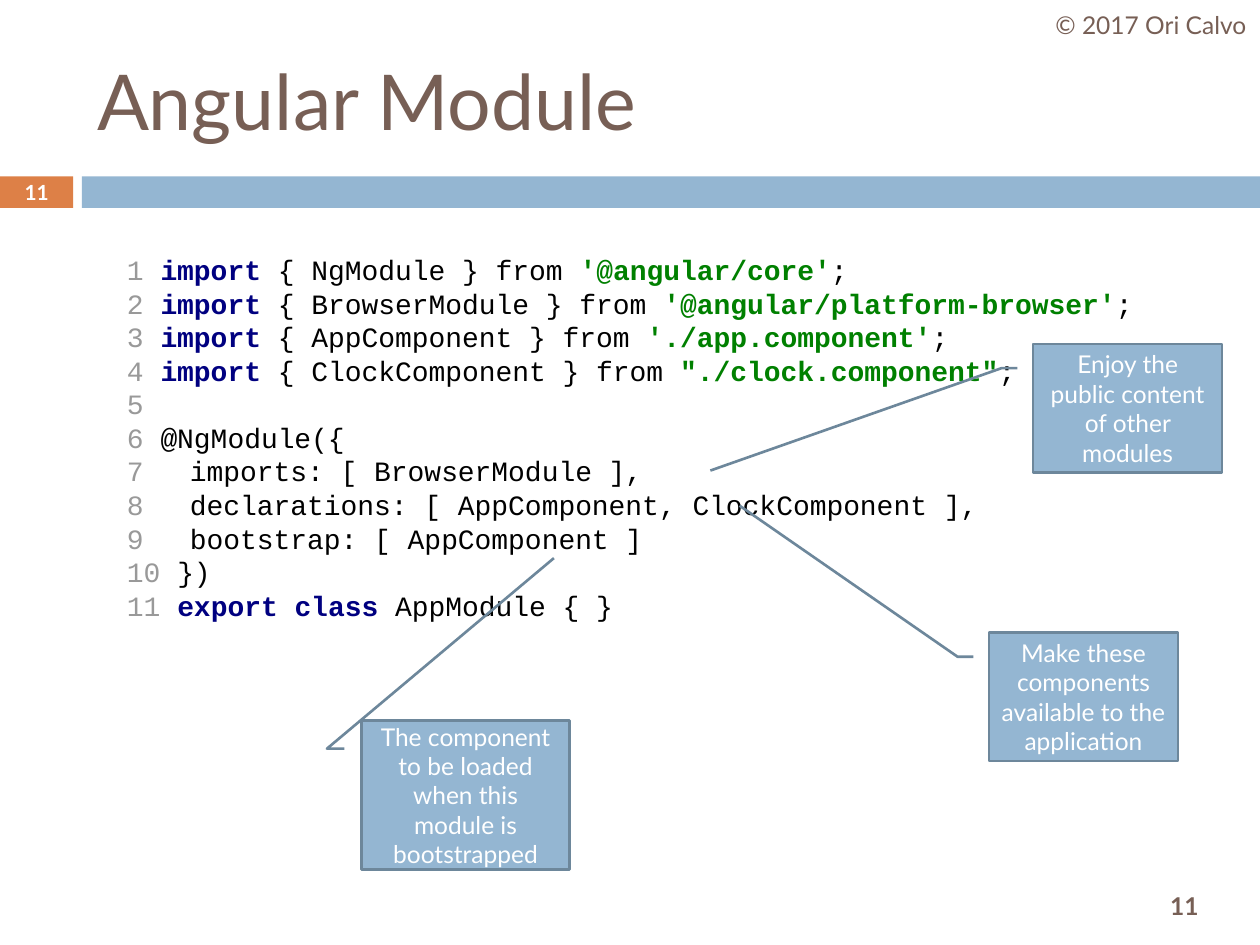
"""Build the Angular Module slide with its annotated code listing."""
from typing import NamedTuple

from pptx import Presentation
from pptx.dml.color import RGBColor
from pptx.enum.shapes import MSO_SHAPE as Preset
from pptx.enum.text import MSO_ANCHOR as Anchor, MSO_AUTO_SIZE as AutoSize, PP_ALIGN as Align
from pptx.util import Inches, Pt

COLORS = {
    "brown": "775F55", "blue": "94B6D2", "outline": "6D879B", "orange": "DD8047",
    "white": "FFFFFF", "number": "999999", "keyword": "000080",
    "string": "008000", "plain": "000000",
}
BOLD_STYLES = ("keyword", "string")
SLIDE_NUMBER = "11"


class Box(NamedTuple):
    left: float
    top: float
    width: float
    height: float

    def lengths(self) -> list:
        return [Inches(value) for value in self]


class Callout(NamedTuple):
    text: str
    box: Box
    tip_y: float
    tip_x: float


class Import(NamedTuple):
    name: str
    source: str


IMPORTS = [
    Import("NgModule", "'@angular/core'"),
    Import("BrowserModule", "'@angular/platform-browser'"),
    Import("AppComponent", "'./app.component'"),
    Import("ClockComponent", '"./clock.component"'),
]
CODE_LINES = [
    [("import", "keyword"), (f" {{ {item.name} }} from ", "plain"),
     (item.source, "string"), ("; ", "plain")]
    for item in IMPORTS
] + [
    [],
    [("@NgModule({ ", "plain")],
    [("\timports: [ BrowserModule ], ", "plain")],
    [("\tdeclarations: [ AppComponent, ClockComponent ], ", "plain")],
    [("\tbootstrap: [ AppComponent ] ", "plain")],
    [("}) ", "plain")],
    [("export class ", "keyword"), ("AppModule { }", "plain")],
]
CALLOUTS = [
    Callout("Enjoy the public content of other modules",
            Box(8.2, 2.73, 1.5, 1.02), 0.985, -1.708),
    Callout("Make these components available to the application",
            Box(7.85, 5.02, 1.5, 1.02), -0.987, -1.32),
    Callout("The component to be loaded when this module is bootstrapped",
            Box(2.87, 5.72, 1.65, 1.18), -1.094, 0.925),
]


def rgb(name: str) -> RGBColor:
    return RGBColor.from_string(COLORS[name])


def add_text(paragraph, text: str, *, size: float = 14, color: str = "brown",
             bold: bool = False, font: str = "Lato", align=Align.CENTER) -> None:
    paragraph.alignment = align
    run = paragraph.add_run()
    run.text = text
    run.font.name = font
    run.font.size = Pt(size)
    run.font.bold = bold
    run.font.color.rgb = rgb(color)


def add_block(slide, box: Box, fill: str, preset=Preset.RECTANGLE):
    shape = slide.shapes.add_shape(preset, *box.lengths())
    shape.shadow.inherit = False
    shape.fill.solid()
    shape.fill.fore_color.rgb = rgb(fill)
    shape.line.fill.background()
    shape.text_frame.vertical_anchor = Anchor.MIDDLE
    return shape


def add_label(slide, box: Box, text: str, **text_format) -> None:
    frame = slide.shapes.add_textbox(*box.lengths()).text_frame
    frame.word_wrap = True
    frame.vertical_anchor = Anchor.MIDDLE
    add_text(frame.paragraphs[0], text, **text_format)


def add_title(slide, text: str) -> None:
    title = slide.shapes.title
    title.left, title.top, title.width, title.height = Box(0.67, 0.25, 8.92, 1.08).lengths()
    title.text_frame.vertical_anchor = Anchor.MIDDLE
    add_text(title.text_frame.paragraphs[0], text, size=44, align=Align.LEFT)


def add_code(slide) -> None:
    frame = add_block(slide, Box(0.91, 1.94, 8.44, 3.06), "white").text_frame
    frame.word_wrap = False
    frame.auto_size = AutoSize.SHAPE_TO_FIT_TEXT
    for number, pieces in enumerate(CODE_LINES, start=1):
        paragraph = frame.paragraphs[0] if number == 1 else frame.add_paragraph()
        for text, style in [(f"{number} ", "number"), *pieces]:
            add_text(paragraph, text, size=16, color=style, bold=style in BOLD_STYLES,
                     font="Courier New", align=Align.LEFT)


def add_callout(slide, callout: Callout) -> None:
    shape = add_block(slide, callout.box, "blue", Preset.LINE_CALLOUT_2)
    shape.line.color.rgb = rgb("outline")
    shape.line.width = Pt(1.5)
    points = (0.188, -0.083, 0.188, -0.167, callout.tip_y, callout.tip_x)
    for index, value in enumerate(points):
        shape.adjustments[index] = value
    shape.text_frame.word_wrap = True
    add_text(shape.text_frame.paragraphs[0], callout.text, color="white")


def main() -> None:
    presentation = Presentation()
    presentation.slide_width, presentation.slide_height = Inches(10), Inches(7.5)
    slide = presentation.slides.add_slide(presentation.slide_layouts[5])
    add_block(slide, Box(0, 1.4, 0.58, 0.25), "orange")
    add_block(slide, Box(0.65, 1.4, 9.35, 0.25), "blue")
    add_label(slide, Box(8.94, 6.98, 0.92, 0.42), SLIDE_NUMBER, bold=True)
    add_title(slide, "Angular Module")
    add_label(slide, Box(8.27, 0, 1.73, 0.4), "© 2017 Ori Calvo")
    add_label(slide, Box(0, 1.39, 0.58, 0.27), SLIDE_NUMBER,
              size=11.9, color="white", bold=True)
    add_code(slide)
    for callout in CALLOUTS:
        add_callout(slide, callout)
    presentation.save("out.pptx")


main()
